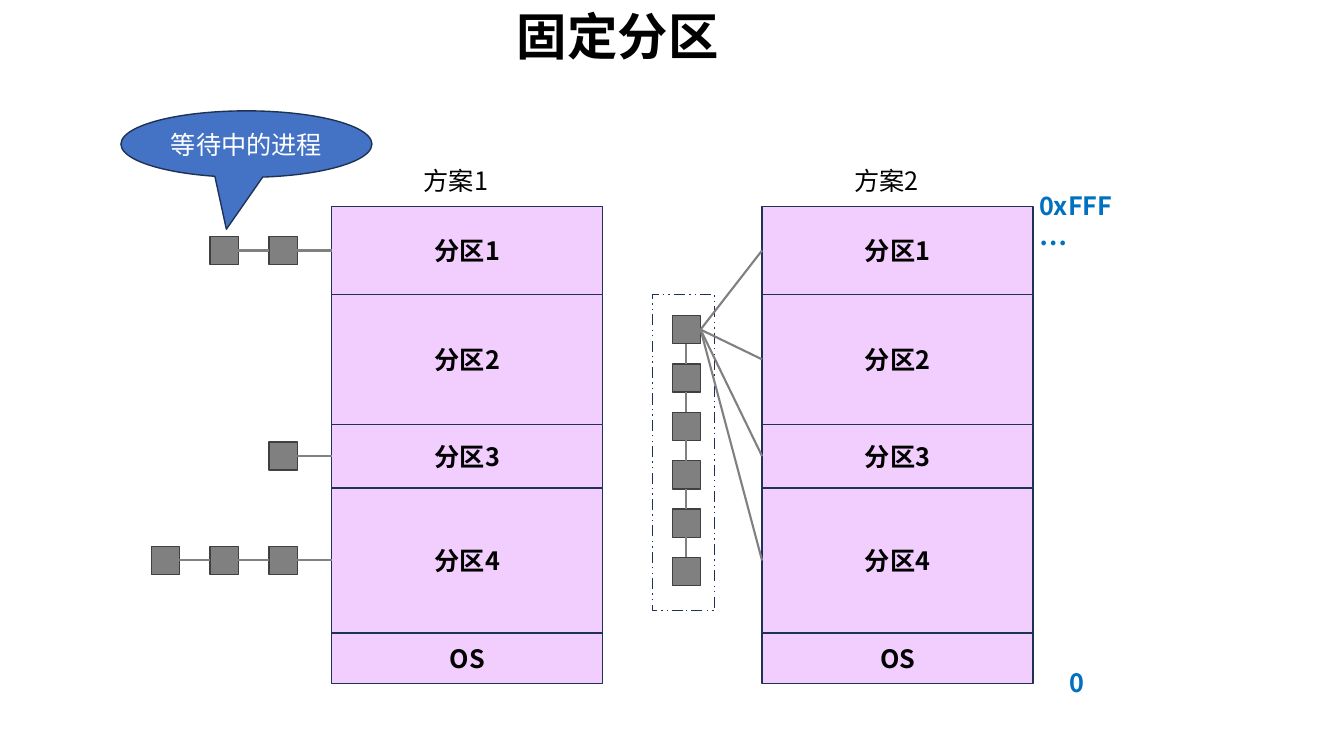
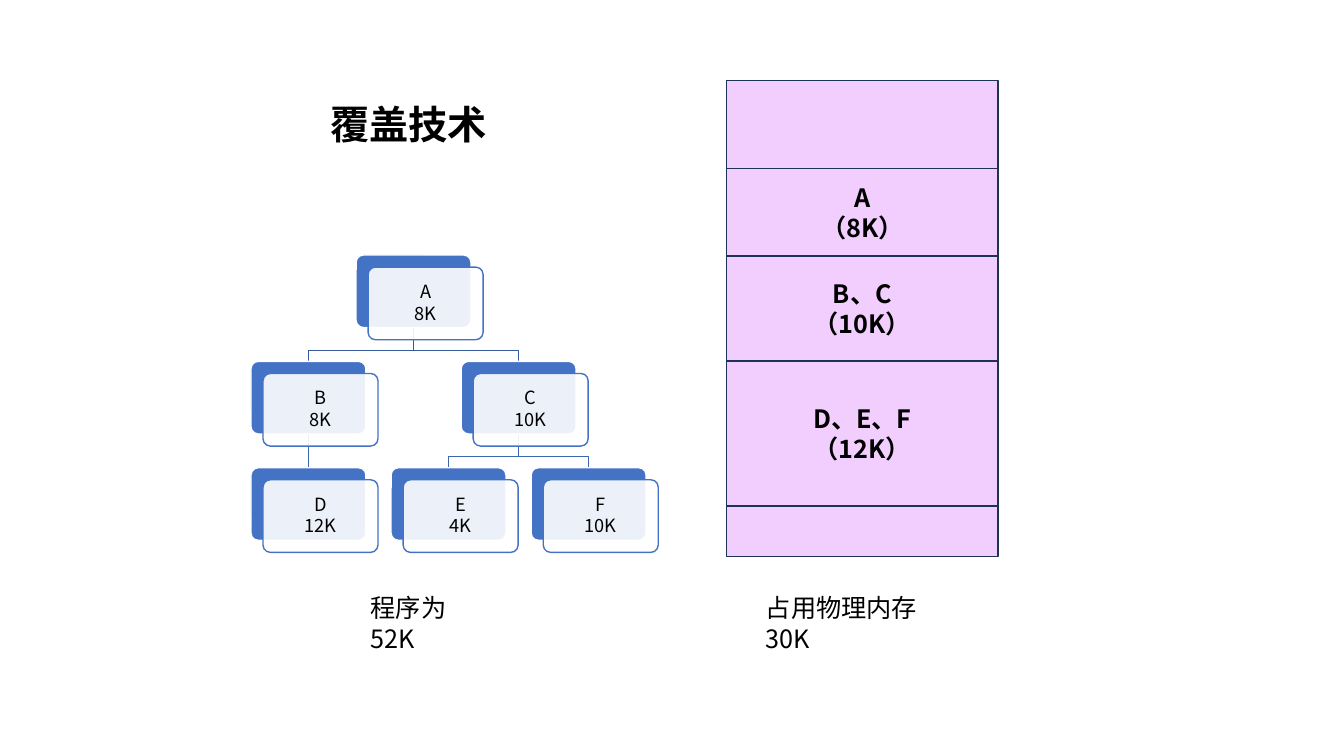
from dataclasses import dataclass
from itertools import accumulate, pairwise

from lxml.etree import SubElement
from pptx import Presentation
from pptx.dml.color import RGBColor
from pptx.enum.dml import MSO_LINE
from pptx.enum.shapes import MSO_CONNECTOR, MSO_SHAPE
from pptx.enum.text import MSO_ANCHOR, PP_ALIGN
from pptx.oxml.ns import qn
from pptx.util import Inches, Pt


@dataclass(frozen=True)
class Theme:
    font: str = "Noto Sans CJK SC"
    black: str = "000000"
    white: str = "FFFFFF"
    memory: str = "F2CEFE"
    outline: str = "1E3256"
    process: str = "808080"
    process_edge: str = "404040"
    accent: str = "4472C4"
    address: str = "0070C0"
    tree_links: tuple = ("365B9D", "3E67B2")
    title: int = 36
    subtitle: int = 28
    body: int = 18
    card: int = 13
    thin: float = 1
    link: float = 1.5


@dataclass(frozen=True)
class Module:
    name: str
    size: str
    children: tuple = ()


THEME = Theme()

# The grid has ten square cells to the inch; every length below is in cells.
COLUMNS, ROWS = 133.33, 75
STACK_WIDTH = 26.9
SQUARE = 2.8
CARD_WIDTH, CARD_HEIGHT, CARD_SHIFT = 11.4, 7.2, 1.2
TREE_LEFT, TREE_TOP = 24.9, 25.3
TREE_COLUMN, TREE_ROW = 13.9, 10.55
LINK_DROP = 2.25

PROGRAM = Module("A", "8K", (
    Module("B", "8K", (Module("D", "12K"),)),
    Module("C", "10K", (Module("E", "4K"), Module("F", "10K"))),
))


def cells(count):
    return Inches(count / 10)


def color(value):
    return RGBColor.from_string(value)


# Text
def write(shape, text, size, ink=THEME.black, bold=False, align=PP_ALIGN.CENTER):
    frame = shape.text_frame
    frame.word_wrap = True
    frame.text = text
    for paragraph in frame.paragraphs:
        paragraph.alignment = align
        for run in paragraph.runs:
            run.font.name = THEME.font
            run.font.size = Pt(size)
            run.font.bold = bold
            run.font.color.rgb = color(ink)
            SubElement(run.font._element, qn("a:ea")).set("typeface", THEME.font)
    return frame


def add_label(slide, text, left, top, width, size=THEME.body, ink=THEME.black, bold=False):
    box = slide.shapes.add_textbox(cells(left), cells(top), cells(width), cells(size / 4.5))
    write(box, text, size, ink, bold, PP_ALIGN.LEFT)


# Shapes and lines
def add_box(slide, left, top, width, height, fill, line, kind=MSO_SHAPE.RECTANGLE):
    shape = slide.shapes.add_shape(kind, *map(cells, (left, top, width, height)))
    shape.shadow.inherit = False
    if fill:
        shape.fill.solid()
        shape.fill.fore_color.rgb = color(fill)
    else:
        shape.fill.background()
    shape.line.color.rgb = color(line)
    shape.line.width = Pt(THEME.thin)
    return shape


def add_line(slide, start, end, ink=THEME.process, width=THEME.link):
    line = slide.shapes.add_connector(MSO_CONNECTOR.STRAIGHT, *map(cells, (*start, *end)))
    line.line.color.rgb = color(ink)
    line.line.width = Pt(width)
    SubElement(line._element.spPr, qn("a:effectLst"))


def add_elbow(slide, start, end, ink):
    (start_x, start_y), (end_x, end_y) = start, end
    if start_x == end_x:
        add_line(slide, start, end, ink, THEME.thin)
        return
    bend = start_y + LINK_DROP
    points = [(start_x, bend), (end_x, bend), (end_x, end_y)]
    builder = slide.shapes.build_freeform(cells(start_x), cells(start_y))
    builder.add_line_segments([(cells(x), cells(y)) for x, y in points], close=False)
    shape = builder.convert_to_shape()
    shape.shadow.inherit = False
    shape.fill.background()
    shape.line.color.rgb = color(ink)
    shape.line.width = Pt(THEME.thin)


# Memory and processes
def add_memory(slide, left, top, blocks):
    """Stack labelled blocks downwards and return the middle of each."""
    edges = accumulate((height for _, height in blocks), initial=top)
    middles = []
    for (text, height), edge in zip(blocks, edges):
        block = add_box(slide, left, edge, STACK_WIDTH, height, THEME.memory, THEME.outline)
        if text:
            write(block, text, THEME.body, bold=True)
        middles.append(edge + height / 2)
    return middles


def add_process(slide, left, top):
    add_box(slide, left, top, SQUARE, SQUARE, THEME.process, THEME.process_edge)


def add_waiting_row(slide, count, middle, stack_left):
    right = stack_left
    for index in range(count):
        left = 26.7 - index * 5.85
        add_process(slide, left, middle - SQUARE / 2)
        add_line(slide, (left + SQUARE, middle), (right, middle))
        right = left


def add_shared_queue(slide, left, top, count, targets, stack_left):
    tops = [top + index * 4.8 for index in range(count)]
    center = left + SQUARE / 2
    for square_top in tops:
        add_process(slide, left, square_top)
    for upper, lower in pairwise(tops):
        add_line(slide, (center, upper + SQUARE), (center, lower))
    frame = add_box(slide, left - 2, top - 2.1, 6.2, 31.4, None, THEME.outline)
    frame.line.dash_style = MSO_LINE.DASH_DOT_DOT
    for target in targets:
        add_line(slide, (left + SQUARE, top + SQUARE / 2), (stack_left, target))


# Module tree
def place(module, level=0, first_column=0):
    """List (module, column, level, parent index), centring parents over children."""
    if not module.children:
        return [(module, first_column, level, None)], first_column + 1
    placed, columns = [], []
    next_column = first_column
    for child in module.children:
        branch, next_column = place(child, level + 1, next_column)
        root = 1 + len(placed)
        columns.append(branch[0][1])
        placed += [(node, column, depth, 0 if parent is None else parent + root)
                   for node, column, depth, parent in branch]
    middle = (columns[0] + columns[-1]) / 2
    return [(module, middle, level, None), *placed], next_column


def corner(column, level):
    return TREE_LEFT + column * TREE_COLUMN, TREE_TOP + level * TREE_ROW


def add_card(slide, module, left, top):
    rounded = MSO_SHAPE.ROUNDED_RECTANGLE
    back = add_box(slide, left, top, CARD_WIDTH, CARD_HEIGHT,
                   THEME.accent, THEME.white, rounded)
    front = add_box(slide, left + CARD_SHIFT, top + CARD_SHIFT, CARD_WIDTH, CARD_HEIGHT,
                    THEME.white, THEME.accent, rounded)
    for card in (back, front):
        card.adjustments[0] = 0.1
    paint = front._element.spPr.find(qn("a:solidFill"))
    SubElement(paint[0], qn("a:alpha")).set("val", "90000")
    frame = write(front, f"{module.name}\n{module.size}", THEME.card)
    frame.vertical_anchor = MSO_ANCHOR.MIDDLE
    frame.margin_left = frame.margin_right = cells(0.5)
    frame.margin_top = frame.margin_bottom = cells(0.5)
    for paragraph in frame.paragraphs:
        paragraph.line_spacing = 0.9
        paragraph.space_after = Pt(1.6)


def add_tree(slide, program):
    nodes, _ = place(program)
    for _, column, level, parent in nodes:
        if parent is None:
            continue
        parent_left, parent_top = corner(*nodes[parent][1:3])
        left, top = corner(column, level)
        add_elbow(slide, (parent_left + CARD_WIDTH / 2, parent_top + CARD_HEIGHT),
                  (left + CARD_WIDTH / 2, top), THEME.tree_links[level - 1])
    for module, column, level, _ in nodes:
        add_card(slide, module, *corner(column, level))


# Slides
def add_fixed_partitions(slide):
    add_label(slide, "固定分区", 50.3, 0, 28.1, THEME.title, bold=True)
    blocks = [("分区1", 8.7), ("分区2", 12.9), ("分区3", 6.3), ("分区4", 14.4), ("OS", 5)]
    stacks = (32.9, 75.6)
    for number, left in enumerate(stacks, start=1):
        middles = add_memory(slide, left, 20.5, blocks)
        add_label(slide, f"方案{number}", left + 8.15, 15.9, 10.6)
    add_label(slide, "0xFFF…", 102.1, 18.4, 10.5, ink=THEME.address, bold=True)
    add_label(slide, "0", 105.1, 65.7, 4.3, ink=THEME.address, bold=True)

    partitions = middles[:4]
    for count, middle in zip((2, 0, 1, 3), partitions):
        add_waiting_row(slide, count, middle, stacks[0])
    add_shared_queue(slide, 66.7, 31.3, 6, partitions, stacks[1])

    callout = add_box(slide, 12, 11, 24.9, 6.6, THEME.accent, THEME.outline,
                      MSO_SHAPE.OVAL_CALLOUT)
    callout.adjustments[0], callout.adjustments[1] = -0.08, 1.28
    write(callout, "等待中的进程", THEME.body, THEME.white)


def add_overlay(slide):
    add_label(slide, "覆盖技术", 31.8, 9.5, 18.5, THEME.subtitle, bold=True)
    add_tree(slide, PROGRAM)
    add_memory(slide, 72.1, 8, [("", 8.7), ("A\n（8K）", 8.7), ("B、C\n（10K）", 10.4),
                                ("D、E、F\n（12K）", 14.4), ("", 5)])
    add_label(slide, "程序为52K", 35.8, 58.3, 13.7)
    add_label(slide, "占用物理内存30K", 75, 58.3, 21.2)


def main():
    presentation = Presentation()
    presentation.slide_width = cells(COLUMNS)
    presentation.slide_height = cells(ROWS)
    blank = presentation.slide_layouts[6]
    for build in (add_fixed_partitions, add_overlay):
        build(presentation.slides.add_slide(blank))
    presentation.save("out.pptx")


if __name__ == "__main__":
    main()
